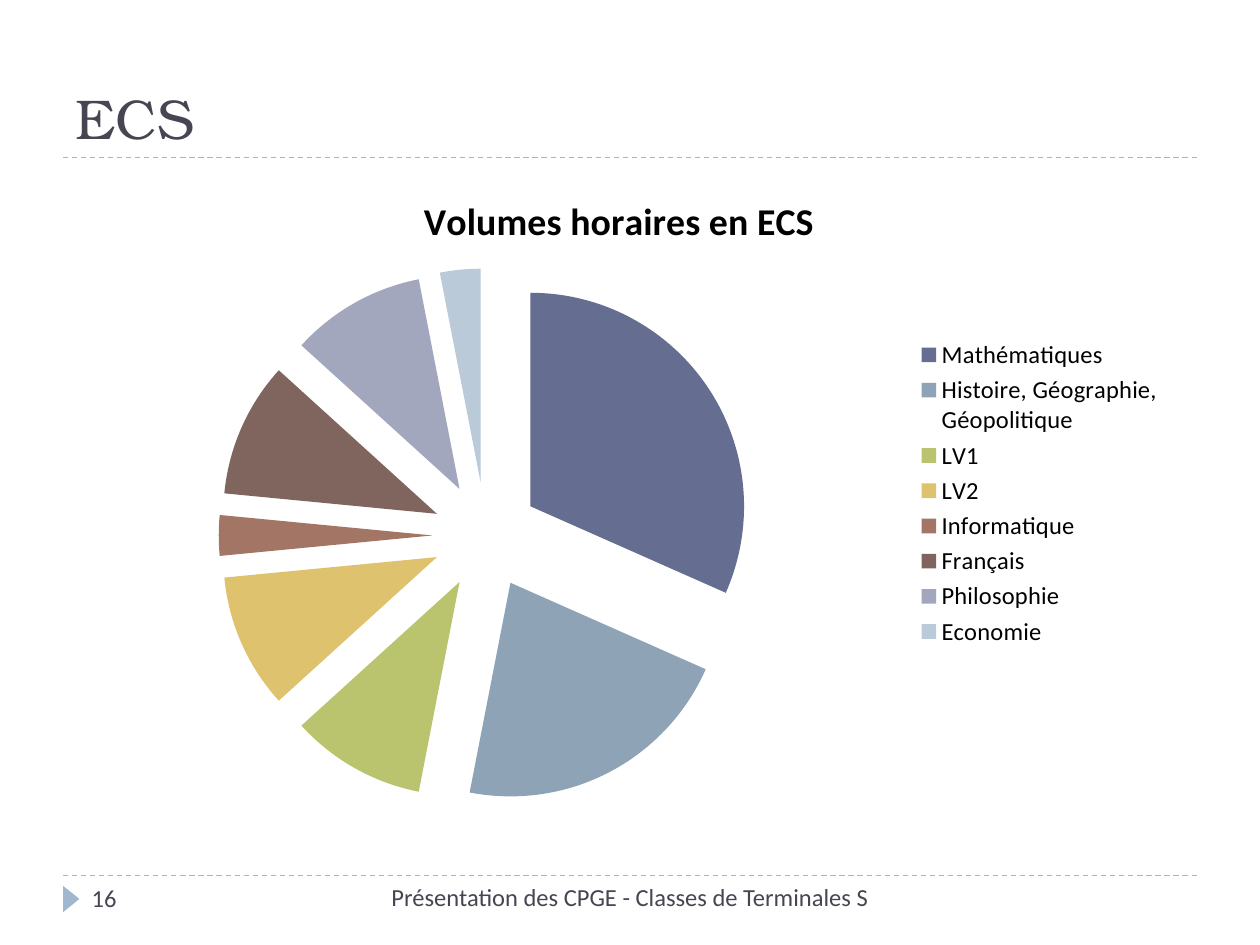
"""Build the ECS slide: a pie of weekly teaching volumes by subject."""
from typing import NamedTuple

from lxml.etree import SubElement
from pptx import Presentation
from pptx.chart.data import CategoryChartData
from pptx.dml.color import RGBColor
from pptx.enum.chart import XL_CHART_TYPE, XL_LEGEND_POSITION
from pptx.enum.dml import MSO_LINE
from pptx.enum.shapes import MSO_CONNECTOR, MSO_SHAPE
from pptx.enum.text import MSO_ANCHOR, PP_ALIGN
from pptx.oxml import parse_xml
from pptx.oxml.ns import qn
from pptx.util import Inches, Pt

WIDTH, HEIGHT = 10, 7.5
MARGIN = 0.05 * WIDTH
TITLE_RULE, FOOTER_RULE = 1.25, 6.95
INK, ACCENT = "464653", "9FB8CD"
CHART_NAMESPACE = "http://schemas.openxmlformats.org/drawingml/2006/chart"


class Area(NamedTuple):
    left: float
    top: float
    width: float
    height: float

    def lengths(self) -> list:
        """Return the four sides as slide lengths."""
        return [Inches(value) for value in self]


class Subject(NamedTuple):
    name: str
    share: int
    color: str


class Label(NamedTuple):
    text: str
    area: Area
    align: PP_ALIGN


SUBJECTS = [
    Subject("Mathématiques", 31, "656D91"),
    Subject("Histoire, Géographie, Géopolitique", 21, "8EA3B5"),
    Subject("LV1", 10, "BAC36D"),
    Subject("LV2", 10, "DEC26D"),
    Subject("Informatique", 3, "A27564"),
    Subject("Français", 10, "7F655D"),
    Subject("Philosophie", 10, "A3A7BE"),
    Subject("Economie", 3, "BBCAD9"),
]
LABELS = [
    Label("Présentation des CPGE - Classes de Terminales S",
          Area(2.64, FOOTER_RULE, 4.72, 0.4), PP_ALIGN.CENTER),
    Label("16", Area(0.63, 6.96, 2.17, 0.4), PP_ALIGN.LEFT),
]


def rgb(value: str) -> RGBColor:
    """Turn a hex string into a colour."""
    return RGBColor.from_string(value)


def style_font(font, size: float, color: str, name: str = "Calibri") -> None:
    """Apply size, typeface and colour to a font."""
    for key, value in {"size": Pt(size), "name": name}.items():
        setattr(font, key, value)
    font.color.rgb = rgb(color)


def set_title(page, text: str) -> None:
    """Place and format the slide title."""
    box = page.shapes.title
    area = Area(MARGIN, 0.17, WIDTH - 2 * MARGIN, TITLE_RULE - 0.17)
    for side, length in zip(Area._fields, area.lengths()):
        setattr(box, side, length)
    box.text_frame.vertical_anchor = MSO_ANCHOR.BOTTOM
    para = box.text_frame.paragraphs[0]
    para.alignment = PP_ALIGN.LEFT
    span = para.add_run()
    span.text = text
    style_font(span.font, 32, INK, "TeX Gyre Bonum")


def draw_rule(page, top: float) -> None:
    """Draw a dashed rule between the side margins."""
    rule = page.shapes.add_connector(
        MSO_CONNECTOR.STRAIGHT, Inches(MARGIN), Inches(top), Inches(WIDTH - MARGIN), Inches(top))
    for key, value in {"width": Pt(0.75), "dash_style": MSO_LINE.DASH}.items():
        setattr(rule.line, key, value)
    rule.line.color.rgb = rgb(ACCENT)
    SubElement(rule._element.spPr, qn("a:effectLst"))


def draw_marker(page, area: Area) -> None:
    """Draw the triangle that points at the page number."""
    marker = page.shapes.add_shape(MSO_SHAPE.ISOSCELES_TRIANGLE, *area.lengths())
    marker.rotation = 90
    marker.shadow.inherit = False
    marker.fill.solid()
    marker.fill.fore_color.rgb = rgb(ACCENT)
    marker.line.fill.background()


def draw_label(page, label: Label) -> None:
    """Write one footer label."""
    frame = page.shapes.add_textbox(*label.area.lengths()).text_frame
    frame.word_wrap = True
    para = frame.paragraphs[0]
    para.alignment = label.align
    span = para.add_run()
    span.text = label.text
    style_font(span.font, 14, INK)


def place_plot(chart, area: Area) -> None:
    """Fix the plot at shares of the chart's size."""
    plot_area = chart._chartSpace.chart.plotArea
    for layout in plot_area.findall(qn("c:layout")):
        plot_area.remove(layout)
    values = {"layoutTarget": "inner", "xMode": "edge", "yMode": "edge"}
    values.update(zip("xywh", area))
    parts = "".join(f'<c:{key} val="{value}"/>' for key, value in values.items())
    plot_area.insert(0, parse_xml(
        f'<c:layout xmlns:c="{CHART_NAMESPACE}"><c:manualLayout>{parts}</c:manualLayout></c:layout>'))


def draw_pie(page, title: str, subjects: list[Subject], area: Area) -> None:
    """Draw the exploded pie with its title and legend."""
    data = CategoryChartData()
    data.categories = [subject.name for subject in subjects]
    data.add_series("Series 1", [subject.share for subject in subjects])
    chart = page.shapes.add_chart(XL_CHART_TYPE.PIE, *area.lengths(), data).chart
    style_font(chart.font, 18, "000000")
    chart.has_title = True
    chart.chart_title.text_frame.paragraphs[0].add_run().text = title
    chart.has_legend = True
    legend = {"position": XL_LEGEND_POSITION.RIGHT, "include_in_layout": False}
    for key, value in legend.items():
        setattr(chart.legend, key, value)
    style_font(chart.legend.font, 14, "000000")
    plot = chart.plots[0]
    plot.vary_by_categories = True
    series = plot.series[0]
    for index, subject in enumerate(subjects):
        fill = series.points[index].format.fill
        fill.solid()
        fill.fore_color.rgb = rgb(subject.color)
    explosion = parse_xml(f'<c:explosion xmlns:c="{CHART_NAMESPACE}" val="25"/>')
    series._element.find(qn("c:dPt")).addprevious(explosion)
    place_plot(chart, Area(0.14, 0.15, 0.48, 0.83))


def main() -> None:
    """Assemble and save the slide."""
    deck = Presentation()
    deck.slide_width, deck.slide_height = Inches(WIDTH), Inches(HEIGHT)
    page = deck.slides.add_slide(deck.slide_layouts[5])
    for top in (FOOTER_RULE, TITLE_RULE):
        draw_rule(page, top)
    draw_marker(page, Area(0.46, 7.07, 0.21, 0.13))
    set_title(page, "ECS")
    draw_pie(page, "Volumes horaires en ECS", SUBJECTS, Area(MARGIN, 1.33, 8.83, 5.17))
    for label in LABELS:
        draw_label(page, label)
    deck.save("out.pptx")


if __name__ == "__main__":
    main()
